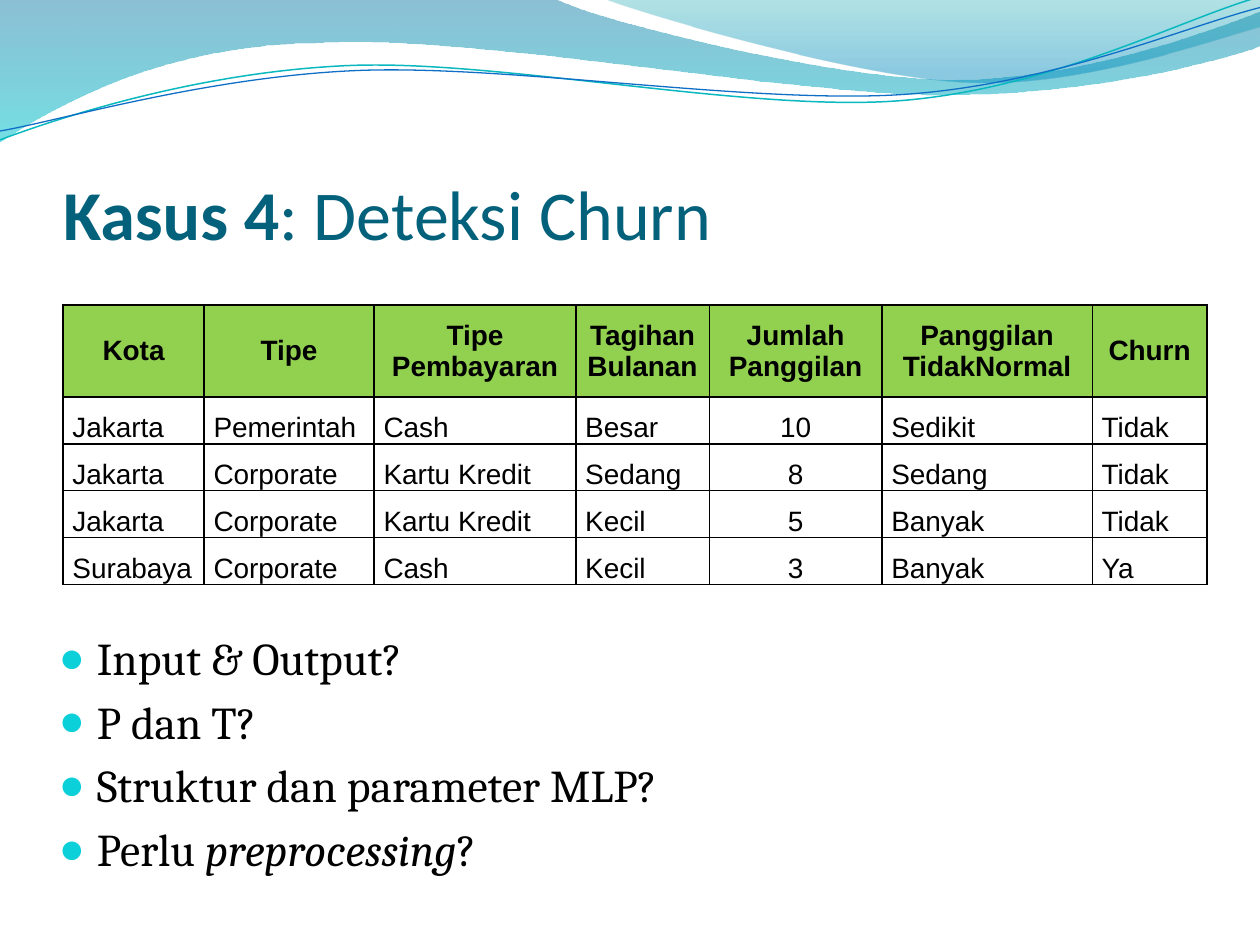
from math import cos, radians, sin
from typing import NamedTuple

from lxml import etree
from pptx import Presentation
from pptx.dml.color import RGBColor
from pptx.enum.text import MSO_ANCHOR, PP_ALIGN
from pptx.oxml.ns import qn
from pptx.util import Emu, Inches, Pt

MIDDLE, BOTTOM = MSO_ANCHOR.MIDDLE, MSO_ANCHOR.BOTTOM
CENTER, LEFT = PP_ALIGN.CENTER, PP_ALIGN.LEFT

BLACK = RGBColor(0x00, 0x00, 0x00)
TITLE_BLUE = RGBColor(0x04, 0x61, 0x7B)
HEADER_GREEN = RGBColor(0x92, 0xD0, 0x50)
BULLET_CYAN = RGBColor(0x0B, 0xD0, 0xD9)
LINE_TEAL = RGBColor(0x0A, 0xB8, 0xBF)
LINE_BLUE = RGBColor(0x0F, 0x6F, 0xC6)
DEEP_BLUE = RGBColor(0x00, 0x74, 0xA1)
AQUA = RGBColor(0x00, 0xC6, 0xCF)
GREEN_TEAL = RGBColor(0x00, 0xA1, 0xA9)
SKY_BLUE = RGBColor(0x00, 0x8B, 0xBF)

# The page is a grid of 100 columns by 75 rows of square cells.
SLIDE_WIDTH, SLIDE_HEIGHT = Inches(10), Inches(7.5)
CELL = SLIDE_WIDTH / 100
LINE_TILT = -2.7
LINE_PIVOT = (49.9, 5.8)

Point = tuple[float, float]


class Area(NamedTuple):
    column: float
    row: float
    columns: float
    rows: float


class Stop(NamedTuple):
    position: float
    color: RGBColor
    opacity: int


class Wave(NamedTuple):
    """Outline: a segment is one point (straight) or three (a Bézier curve)."""
    start: Point
    segments: list[list[Point]]
    stops: tuple[Stop, ...] = ()
    line_color: RGBColor | None = None
    line_width: float = 0


class Span(NamedTuple):
    text: str
    bold: bool = False
    italic: bool = False


WAVES = [
    Wave((0, -0.1), [
        [(44, -0.1)],
        [(47.6, 1.7), (66.4, 6.3), (75.8, 6.3)],
        [(85.3, 6.3), (95.8, 2.6), (100, 0.9)],
        [(100.1, 3.6)],
        [(98.3, 4.4), (87, 7.6), (74.6, 7.5)],
        [(62.2, 7.5), (38.2, 2.8), (25.7, 3.4)],
        [(12.9, 3.5), (4.6, 8.3), (-0.1, 11.3)],
    ], stops=(Stop(0, DEEP_BLUE, 45), Stop(1, AQUA, 55))),
    Wave((47.9, -0.1), [
        [(50.9, 1.1), (68.2, 6.2), (76.9, 6.5)],
        [(85.6, 6.9), (96.1, 3.2), (100, 2.1)],
        [(100, 0)],
    ], stops=(Stop(0, GREEN_TEAL, 30), Stop(0.8, SKY_BLUE, 45))),
    Wave((0, 11.1), [
        [(4.8, 9.3), (15.8, 5.7), (27.7, 5.2)],
        [(39.5, 4.7), (59.3, 8.9), (71.3, 8)],
        [(83.3, 7.1), (93.8, 1.5), (99.8, -0.2)],
    ], line_color=LINE_TEAL, line_width=0.85),
    Wave((0, 10.4), [
        [(4.7, 9.6), (16.4, 6.1), (28.3, 5.6)],
        [(40.3, 5.1), (59.7, 8.3), (71.7, 7.5)],
        [(83.6, 6.7), (94.1, 2.1), (100, 0.6)],
    ], line_color=LINE_BLUE, line_width=0.75),
]

TITLE_AREA = Area(5, 7.7, 90.8, 12.5)
TITLE = [Span("Kasus 4", bold=True), Span(": Deteksi Churn")]

TABLE_AREA = Area(5, 24.2, 90.8, 22.2)
COLUMN_WIDTHS = [11.2, 13.5, 16, 10.6, 13.7, 16.7, 9.1]
HEADER_HEIGHT = 7.3
COUNT_COLUMN = 4
TABLE_ROWS = [
    ["Kota", "Tipe", "Tipe\nPembayaran", "Tagihan\nBulanan", "Jumlah\nPanggilan",
     "Panggilan\nTidakNormal", "Churn"],
    ["Jakarta", "Pemerintah", "Cash", "Besar", "10", "Sedikit", "Tidak"],
    ["Jakarta", "Corporate", "Kartu Kredit", "Sedang", "8", "Sedang", "Tidak"],
    ["Jakarta", "Corporate", "Kartu Kredit", "Kecil", "5", "Banyak", "Tidak"],
    ["Surabaya", "Corporate", "Cash", "Kecil", "3", "Banyak", "Ya"],
]
BODY_HEIGHT = (TABLE_AREA.rows - HEADER_HEIGHT) / (len(TABLE_ROWS) - 1)

QUESTIONS_AREA = Area(3.7, 49.5, 93, 22.2)
QUESTIONS = [
    [Span("Input & Output?")],
    [Span("P dan T?")],
    [Span("Struktur dan parameter MLP?")],
    [Span("Perlu "), Span("preprocessing", italic=True), Span("?")],
]


def cells(count: float) -> Emu:
    return Emu(round(count * CELL))


def untilt(point: Point) -> Point:
    """Where a point lies before its shape is turned by LINE_TILT."""
    angle = radians(-LINE_TILT)
    x, y = point[0] - LINE_PIVOT[0], point[1] - LINE_PIVOT[1]
    return (LINE_PIVOT[0] + x * cos(angle) - y * sin(angle),
            LINE_PIVOT[1] + x * sin(angle) + y * cos(angle))


def bend_segments(shape, segments: list[list[Point]]) -> None:
    """Join each three straight steps of a curved segment into one Bézier."""
    steps = iter(list(shape._element.iter(qn("a:lnTo"))))
    for segment in segments:
        group = [next(steps) for _ in segment]
        if len(group) == 3:
            curve = etree.Element(qn("a:cubicBezTo"))
            group[0].addprevious(curve)
            for step in group:
                curve.append(step[0])
                step.getparent().remove(step)


def draw_wave(page, wave: Wave) -> None:
    is_band = bool(wave.stops)
    points = [wave.start] + [point for segment in wave.segments for point in segment]
    if not is_band:
        points = [untilt(point) for point in points]
    vertices = [(cells(x), cells(y)) for x, y in points]
    builder = page.shapes.build_freeform(*vertices[0])
    builder.add_line_segments(vertices[1:], close=is_band)
    shape = builder.convert_to_shape()
    bend_segments(shape, wave.segments)
    shape.shadow.inherit = False
    if not is_band:
        shape.rotation = LINE_TILT
        shape.fill.background()
        shape.line.color.rgb = wave.line_color
        shape.line.width = Pt(wave.line_width)
        return
    shape.line.fill.background()
    shape.fill.gradient()
    shape.fill.gradient_angle = 270
    for target, stop in zip(shape.fill.gradient_stops, wave.stops):
        target.position = stop.position
        target.color.rgb = stop.color
    for color, stop in zip(shape._element.iter(qn("a:srgbClr")), wave.stops):
        etree.SubElement(color, qn("a:alpha"), val=str(stop.opacity * 1000))


def add_text_box(page, area: Area):
    frame = page.shapes.add_textbox(*map(cells, area)).text_frame
    frame.word_wrap = True
    return frame


def style_font(para, name: str, size: float, color: RGBColor) -> None:
    para.font.name, para.font.size = name, Pt(size)
    para.font.color.rgb = color


def write_spans(para, spans: list[Span]) -> None:
    for span in spans:
        run = para.add_run()
        run.text = span.text
        run.font.bold, run.font.italic = span.bold, span.italic


def draw_title(page) -> None:
    frame = add_text_box(page, TITLE_AREA)
    frame.vertical_anchor = BOTTOM
    frame.margin_left = frame.margin_right = frame.margin_bottom = 0
    style_font(frame.paragraphs[0], "Calibri", 40, TITLE_BLUE)
    write_spans(frame.paragraphs[0], TITLE)


def add_borders(cell) -> None:
    properties = cell._tc.get_or_add_tcPr()
    for index, side in enumerate(("a:lnL", "a:lnR", "a:lnT", "a:lnB")):
        line = etree.Element(qn(side), w=str(Pt(1)))
        fill = etree.SubElement(line, qn("a:solidFill"))
        etree.SubElement(fill, qn("a:srgbClr"), val=str(BLACK))
        properties.insert(index, line)


def fill_cell(cell, text: str, is_header: bool, centered: bool) -> None:
    cell.text = text
    cell.margin_left = cell.margin_right = cells(0.75)
    cell.margin_top = cell.margin_bottom = 0
    cell.vertical_anchor = MIDDLE if is_header else BOTTOM
    if is_header:
        cell.fill.solid()
        cell.fill.fore_color.rgb = HEADER_GREEN
    else:
        cell.fill.background()
    add_borders(cell)
    for para in cell.text_frame.paragraphs:
        para.alignment = CENTER if centered else LEFT
        style_font(para, "Arial", 16, BLACK)
        para.font.bold = is_header


def draw_table(page) -> None:
    table = page.shapes.add_table(len(TABLE_ROWS), len(COLUMN_WIDTHS),
                                  *map(cells, TABLE_AREA)).table
    table.horz_banding = False
    for column, width in zip(table.columns, COLUMN_WIDTHS):
        column.width = cells(width)
    for r, texts in enumerate(TABLE_ROWS):
        is_header = r == 0
        table.rows[r].height = cells(HEADER_HEIGHT if is_header else BODY_HEIGHT)
        for c, text in enumerate(texts):
            fill_cell(table.cell(r, c), text, is_header, is_header or c == COUNT_COLUMN)


def add_bullet(para) -> None:
    properties = para._p.get_or_add_pPr()
    properties.set("marL", str(cells(3)))
    properties.set("indent", str(-cells(3)))
    color = etree.Element(qn("a:buClr"))
    etree.SubElement(color, qn("a:srgbClr"), val=str(BULLET_CYAN))
    size = etree.Element(qn("a:buSzPct"), val="95000")
    font = etree.Element(qn("a:buFont"), typeface="Arial")
    mark = etree.Element(qn("a:buChar"), char="●")
    for element in (color, size, font, mark):
        properties.find(qn("a:defRPr")).addprevious(element)


def draw_questions(page) -> None:
    frame = add_text_box(page, QUESTIONS_AREA)
    for index, spans in enumerate(QUESTIONS):
        para = frame.add_paragraph() if index else frame.paragraphs[0]
        para.space_before = Pt(5.2)
        style_font(para, "Cambria", 26, BLACK)
        add_bullet(para)
        write_spans(para, spans)


def main() -> None:
    deck = Presentation()
    deck.slide_width, deck.slide_height = SLIDE_WIDTH, SLIDE_HEIGHT
    page = deck.slides.add_slide(deck.slide_layouts[6])
    for wave in WAVES:
        draw_wave(page, wave)
    draw_title(page)
    draw_table(page)
    draw_questions(page)
    deck.save("out.pptx")


if __name__ == "__main__":
    main()
